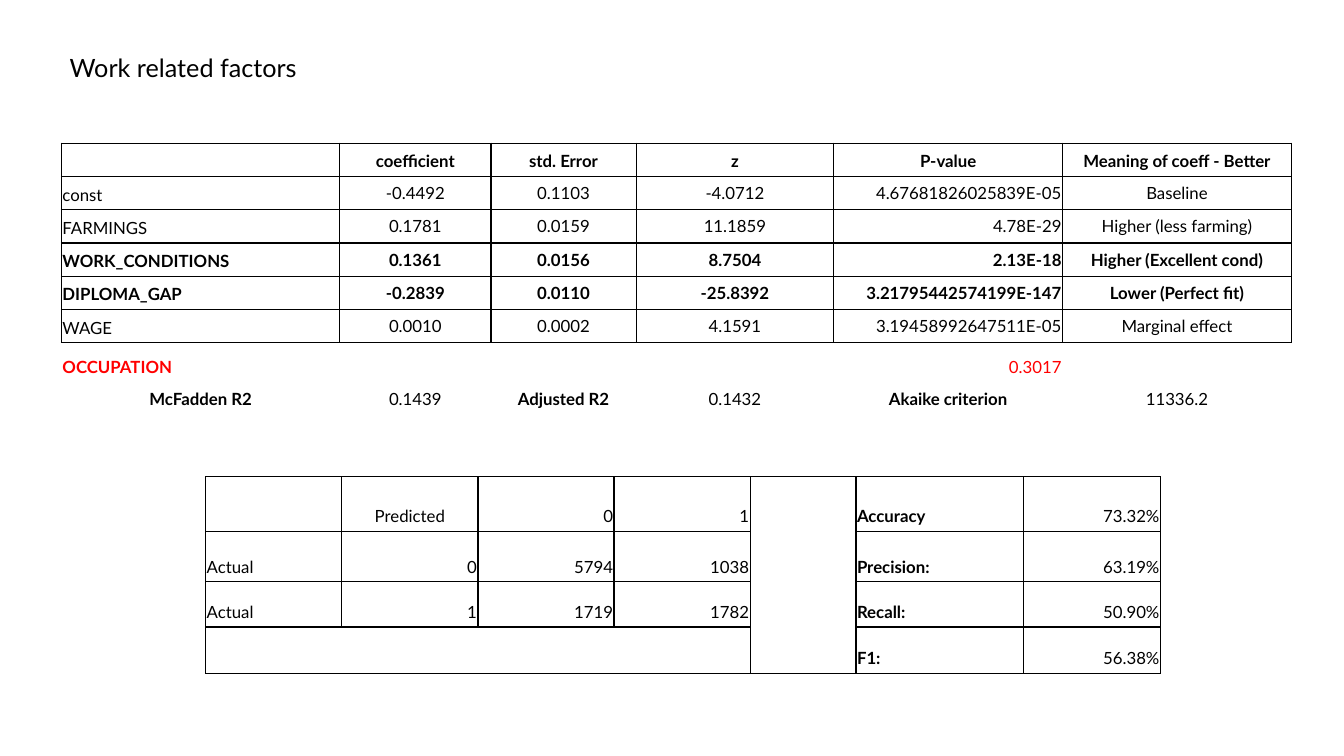
import pptx
import pptx.util
import pptx.dml.color
import pptx.enum.text
import lxml.etree

PX = 9144  # 100 px to the inch
THEME = {
    "font": "Lato",
    "title": pptx.util.Pt(18),
    "body": pptx.util.Pt(12),
    "rule": pptx.util.Pt(0.96),
    "ink": pptx.dml.color.RGBColor(0, 0, 0),
    "alert": pptx.dml.color.RGBColor(255, 0, 0),
}
ALIGN = pptx.enum.text.PP_ALIGN
ANCHOR = pptx.enum.text.MSO_ANCHOR
A = "{http://schemas.openxmlformats.org/drawingml/2006/main}"


def add_grid(slide, left, top, widths, heights):
    """Add an unbanded table with the given column widths and row heights."""
    table = slide.shapes.add_table(
        len(heights), len(widths), left * PX, top * PX, sum(widths) * PX, sum(heights) * PX
    ).table
    table.first_row = table.horz_banding = False
    for column, width in zip(table.columns, widths):
        column.width = width * PX
    for row, height in zip(table.rows, heights):
        row.height = height * PX
    return table


def fill_cell(cell, text, align, anchor, bold, color, sides):
    """Write a cell's text and rule only the listed sides (letters of LRTB)."""
    cell.margin_left = cell.margin_right = PX
    cell.margin_top = cell.margin_bottom = 5 * PX
    cell.vertical_anchor = anchor
    paragraph = cell.text_frame.paragraphs[0]
    paragraph.text = text
    paragraph.alignment = align
    for run in paragraph.runs:
        run.font.name = THEME["font"]
        run.font.size = THEME["body"]
        run.font.bold = bold
        run.font.color.rgb = color
    if not text:
        size = str(THEME["body"].centipoints)
        lxml.etree.SubElement(paragraph._p, A + "endParaRPr", sz=size)
    properties = cell._tc.get_or_add_tcPr()
    for side in "LRTB":
        line = lxml.etree.SubElement(properties, A + "ln" + side, w=str(THEME["rule"]))
        if side in sides:
            solid = lxml.etree.SubElement(line, A + "solidFill")
            lxml.etree.SubElement(solid, A + "srgbClr", val=str(THEME["ink"]))
        else:
            lxml.etree.SubElement(line, A + "noFill")
    cell.fill.background()


deck = pptx.Presentation()
deck.slide_width = pptx.util.Inches(13.33)
deck.slide_height = pptx.util.Inches(7.5)
slide = deck.slides.add_slide(deck.slide_layouts[5])

title = slide.shapes.title
title.left, title.top, title.width, title.height = [n * PX for n in (59, 47, 1031, 40)]
title.text_frame.text = "Work related factors"
title.text_frame.word_wrap = True
title.text_frame.auto_size = pptx.enum.text.MSO_AUTO_SIZE.SHAPE_TO_FIT_TEXT
title.text_frame.vertical_anchor = ANCHOR.TOP
heading = title.text_frame.paragraphs[0]
heading.alignment = ALIGN.LEFT
heading.runs[0].font.name = THEME["font"]
heading.runs[0].font.size = THEME["title"]
heading.runs[0].font.color.rgb = THEME["ink"]

# Confusion matrix on the left, quality scores on the right, a gap column between
GAP_COLUMN, SCORE_COLUMN = 4, 5
confusion_rows = [
    ["", "Predicted", "0", "1", "", "Accuracy", "73.32%"],
    ["Actual", "0", "5794", "1038", "", "Precision:", "63.19%"],
    ["Actual", "1", "1719", "1782", "", "Recall:", "50.90%"],
    ["", "", "", "", "", "F1:", "56.38%"],
]
confusion = add_grid(slide, 204, 473, [135, 135, 135, 135, 105, 166, 136], [54, 50, 45, 46])
for r, row in enumerate(confusion_rows):
    for c, text in enumerate(row):
        align = ALIGN.LEFT if c in (0, SCORE_COLUMN) else ALIGN.RIGHT
        if text == "Predicted":
            align = ALIGN.CENTER
        sides = "LRTB"
        if c == GAP_COLUMN:
            sides = "LR" + {0: "T", 3: "B"}.get(r, "")
        fill_cell(confusion.cell(r, c), text, align, ANCHOR.BOTTOM,
                  c == SCORE_COLUMN, THEME["ink"], sides)
confusion.cell(3, 0).merge(confusion.cell(3, 3))

# Regression coefficients, then an unruled dropped variable and fit statistics
HEADER, DROPPED, FIT = 0, 6, 7
P_VALUE = 4
coefficient_rows = [
    ["", "coefficient", "std. Error", "z", "P-value", "Meaning of coeff - Better"],
    ["const", "-0.4492", "0.1103", "-4.0712", "4.67681826025839E-05", "Baseline"],
    ["FARMINGS", "0.1781", "0.0159", "11.1859", "4.78E-29", "Higher (less farming)"],
    ["WORK_CONDITIONS", "0.1361", "0.0156", "8.7504", "2.13E-18", "Higher (Excellent cond)"],
    ["DIPLOMA_GAP", "-0.2839", "0.0110", "-25.8392", "3.21795442574199E-147",
     "Lower (Perfect fit)"],
    ["WAGE", "0.0010", "0.0002", "4.1591", "3.19458992647511E-05", "Marginal effect"],
    ["OCCUPATION", "", "", "", "0.3017", ""],
    ["McFadden R2", "0.1439", "Adjusted R2", "0.1432", "Akaike criterion", "11336.2"],
]
strong_rows = (HEADER, 3, 4)
coefficients = add_grid(slide, 61, 142, [276, 150, 144, 196, 227, 227], [33] * 6 + [39, 33])
for r, row in enumerate(coefficient_rows):
    for c, text in enumerate(row):
        align = ALIGN.CENTER
        if r != FIT and c == 0:
            align = ALIGN.LEFT
        elif r not in (HEADER, FIT) and c == P_VALUE:
            align = ALIGN.RIGHT
        low = r in (HEADER, DROPPED) or (c == 0 and r != FIT)
        bold = r in strong_rows or (r == DROPPED and c == 0) or (r == FIT and c % 2 == 0)
        fill_cell(coefficients.cell(r, c), text, align,
                  ANCHOR.BOTTOM if low else ANCHOR.MIDDLE, bold,
                  THEME["alert"] if r == DROPPED else THEME["ink"],
                  {DROPPED: "T", FIT: ""}.get(r, "LRTB"))

deck.save("out.pptx")
